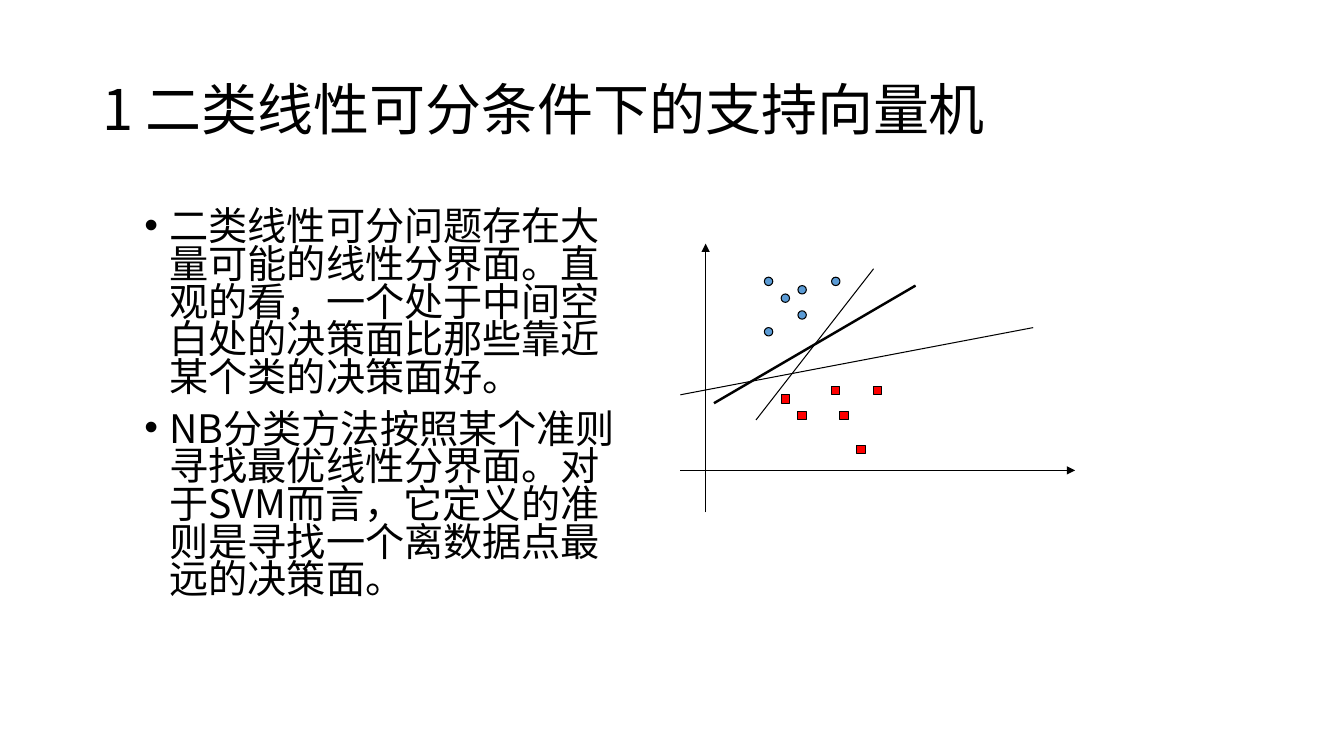
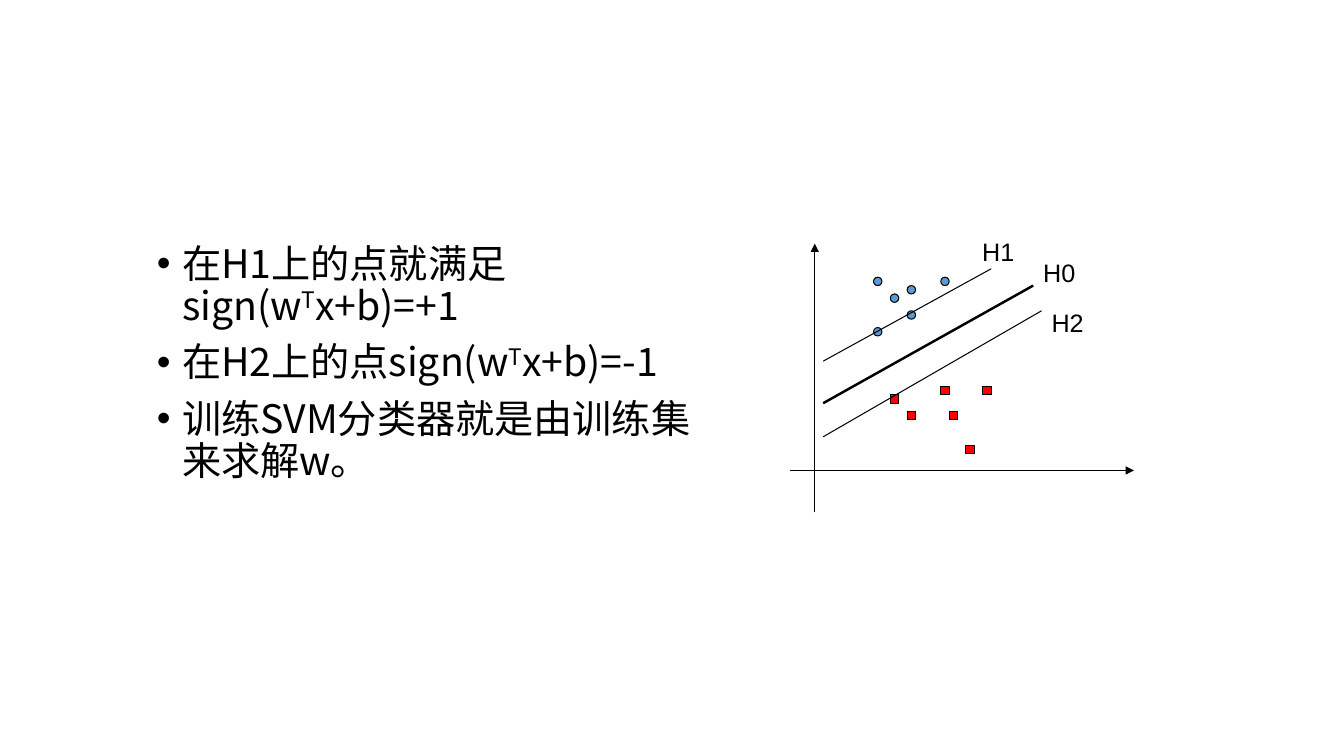
from dataclasses import dataclass

from lxml import etree
from pptx import Presentation
from pptx import util as u
from pptx.dml import color
from pptx.enum import shapes, text
from pptx.oxml import ns


@dataclass(frozen=True)
class Theme:
    """Hold the colours, fonts, type sizes and line widths of both slides."""
    ink: str = "000000"
    circle: str = "5B9BD5"
    square: str = "FF0000"
    body_font: str = "Noto Sans CJK SC"
    label_font: str = "Arial"
    title_size: int = 40
    body_size: int = 28
    label_size: int = 18
    thin: float = 0.75
    thick: float = 1.75


THEME = Theme()
MARKER_SIZE = 8
LABEL_SIZE = (50, 38)
CIRCLES = [(80, 32), (96, 48), (112, 64), (112, 40), (80, 80), (144, 32)]
SQUARES = [(96, 144), (112, 160), (152, 160), (144, 136), (168, 192), (184, 136)]


def px(value):
    """Turn pixels, 96 to the inch, into EMU."""
    return u.Emu(value * 9525)


def add_child(parent, tag, **attributes):
    """Append one drawing element to an XML parent."""
    return etree.SubElement(parent, ns.qn(tag), attributes)


def add_bullet(paragraph):
    """Give a paragraph a hanging round bullet."""
    properties = paragraph._p.get_or_add_pPr()
    properties.set("marL", str(px(24)))
    properties.set("indent", str(px(-24)))
    add_child(properties, "a:buFont", typeface=THEME.label_font)
    add_child(properties, "a:buChar", char="•")


def add_runs(paragraph, content, size, font):
    """Write runs, raising the parts enclosed in carets."""
    for index, part in enumerate(content.split("^")):
        run = paragraph.add_run()
        run.text = part
        run.font.size = u.Pt(size)
        run.font.name = font
        run.font.color.rgb = color.RGBColor.from_string(THEME.ink)
        properties = run._r.get_or_add_rPr()
        add_child(properties, "a:ea", typeface=font)
        if index % 2:
            properties.set("baseline", "30000")


def add_text(slide, box, lines, size=THEME.body_size, font=THEME.body_font,
             spacing=1.0, before=0, bullet=False, middle=False, wrap=True):
    """Place paragraphs of formatted text in a box."""
    frame = slide.shapes.add_textbox(*map(px, box)).text_frame
    frame.word_wrap = wrap
    if not wrap:
        frame.auto_size = text.MSO_AUTO_SIZE.SHAPE_TO_FIT_TEXT
    frame.vertical_anchor = text.MSO_ANCHOR.MIDDLE if middle else text.MSO_ANCHOR.TOP
    for index, line in enumerate(lines):
        paragraph = frame.add_paragraph() if index else frame.paragraphs[0]
        paragraph.line_spacing = spacing
        paragraph.space_before = u.Pt(before)
        if bullet:
            add_bullet(paragraph)
        add_runs(paragraph, line, size, font)


def add_title(slide, box, title):
    """Place the slide title."""
    add_text(slide, box, [title], size=THEME.title_size, spacing=0.9, middle=True)


def add_bullets(slide, box, lines, spacing):
    """Place the bulleted body text."""
    add_text(slide, box, lines, spacing=spacing, before=10, bullet=True)


def add_line(slide, start, end, width=THEME.thin, arrow=False):
    """Draw a straight line, with an arrowhead at its end if asked."""
    shape = slide.shapes.add_connector(
        shapes.MSO_CONNECTOR.STRAIGHT, *map(px, (*start, *end)))
    shape.line.color.rgb = color.RGBColor.from_string(THEME.ink)
    shape.line.width = u.Pt(width)
    if arrow:
        add_child(shape.line._get_or_add_ln(), "a:tailEnd", type="triangle")
    add_child(shape._element.spPr, "a:effectLst")


def add_marker(slide, position, kind, fill):
    """Draw one outlined data point."""
    shape = slide.shapes.add_shape(
        kind, *map(px, (*position, MARKER_SIZE, MARKER_SIZE)))
    shape.shadow.inherit = False
    shape.fill.solid()
    shape.fill.fore_color.rgb = color.RGBColor.from_string(fill)
    shape.line.color.rgb = color.RGBColor.from_string(THEME.ink)
    shape.line.width = u.Pt(THEME.thin)


def add_plot(slide, box, thin_lines, thick_line, labels=()):
    """Draw axes, two point classes, separating lines and their labels."""
    left, top, width, height = box

    def place(point):
        """Move a point of the plot onto the slide."""
        return left + point[0], top + point[1]

    origin_x, origin_y = 24, 216
    add_line(slide, place((origin_x, height)), place((origin_x, 0)), arrow=True)
    add_line(slide, place((0, origin_y)), place((width, origin_y)), arrow=True)
    for points, kind, fill in (
            (CIRCLES, shapes.MSO_SHAPE.OVAL, THEME.circle),
            (SQUARES, shapes.MSO_SHAPE.RECTANGLE, THEME.square)):
        for point in points:
            add_marker(slide, place(point), kind, fill)
    for start, end in thin_lines:
        add_line(slide, place(start), place(end))
    add_line(slide, *map(place, thick_line), width=THEME.thick)
    for label, point in labels:
        add_text(slide, (*place(point), *LABEL_SIZE), [label],
                 size=THEME.label_size, font=THEME.label_font, wrap=False)


def build_separators(slide):
    """Build the slide on possible separating lines."""
    add_title(slide, (88, 38, 1104, 139), "1 二类线性可分条件下的支持向量机")
    add_bullets(slide, (128, 196, 480, 408), [
        "二类线性可分问题存在大量可能的线性分界面。直观的看，一个处于中间空白处的"
        "决策面比那些靠近某个类的决策面好。",
        "NB分类方法按照某个准则寻找最优线性分界面。对于SVM而言，它定义的准则是"
        "寻找一个离数据点最远的决策面。",
    ], spacing=0.8)
    add_plot(slide, (648, 232, 376, 256),
             thin_lines=[((0, 144), (336, 80)), ((72, 168), (184, 24))],
             thick_line=((32, 152), (224, 40)))


def build_margins(slide):
    """Build the slide on the margin lines."""
    add_bullets(slide, (140, 228, 528, 408), [
        "在H1上的点就满足sign(w^T^x+b)=+1",
        "在H2上的点sign(w^T^x+b)=-1",
        "训练SVM分类器就是由训练集来求解w。",
    ], spacing=0.9)
    add_plot(slide, (752, 232, 328, 256),
             thin_lines=[((32, 184), (240, 64)), ((32, 112), (192, 24))],
             thick_line=((32, 152), (232, 40)),
             labels=[("H0", (232, 8)), ("H1", (174, -12)), ("H2", (240, 56))])


def main():
    """Build and save the presentation."""
    presentation = Presentation()
    presentation.slide_width, presentation.slide_height = px(1280), px(720)
    for build in (build_separators, build_margins):
        build(presentation.slides.add_slide(presentation.slide_layouts[6]))
    presentation.save("out.pptx")


if __name__ == "__main__":
    main()
